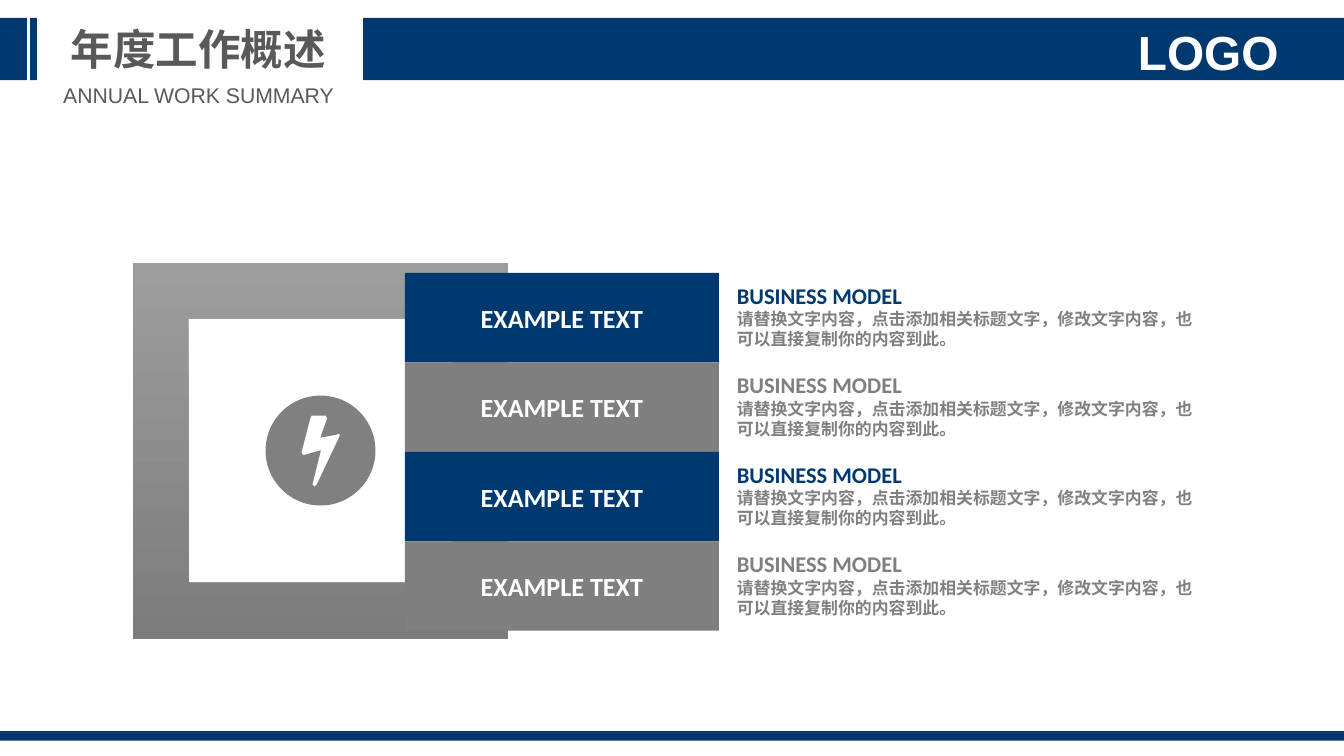
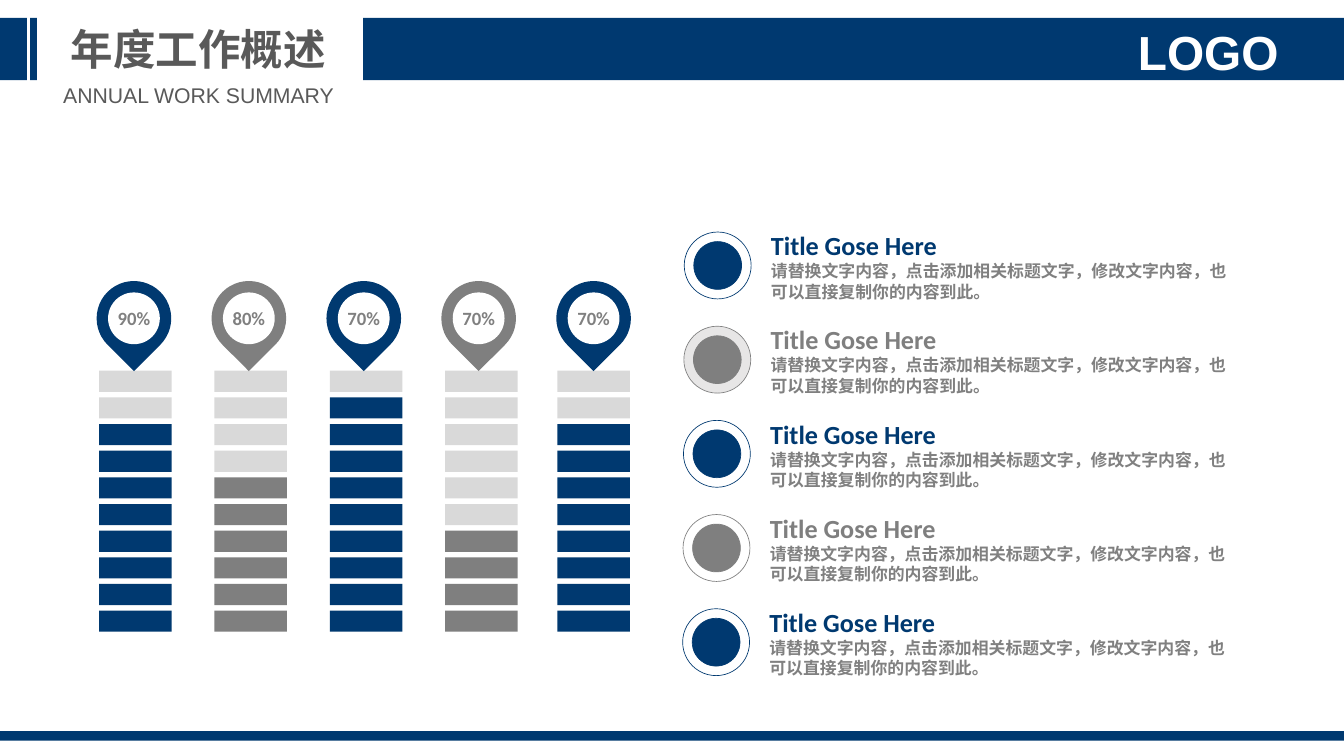
from pptx import Presentation
from pptx import util as u
from pptx.dml.color import RGBColor
from pptx.enum import shapes, text

Pt = u.Pt
KIND = shapes.MSO_SHAPE
ALIGN = text.PP_ALIGN
ANCHOR = text.MSO_ANCHOR
NAVY, GREY, MID, DARK = "003970", "7F7F7F", "808080", "595959"
PALE, CLOUD, WHITE = "D9D9D9", "E7E6E6", "FFFFFF"
WIDE, HIGH = 1012.32, 569.52
BODY = "请替换文字内容，点击添加相关标题文字，修改文字内容，也可以直接复制你的内容到此。"
BOLT = [(255.6, 329), (238.3, 365.5), (236.9, 366.5), (235.4, 365),
        (241.9, 339.1), (229, 342.7), (227.5, 342), (227.2, 340.6),
        (234, 314.6), (234.7, 313.2), (245.5, 313.2), (246.3, 315.4),
        (241.2, 329.8), (253.4, 327.6), (254.9, 326.9), (256, 327.6)]


def tint(fill, code):
    fill.solid()
    fill.fore_color.rgb = RGBColor.from_string(code)


def paint(shape, code, line=None):
    shape.shadow.inherit = False
    tint(shape.fill, code)
    if line:
        tint(shape.line.fill, line)
        shape.line.width = Pt(0.5)
    else:
        shape.line.fill.background()
    return shape


def draw(slide, kind, x, y, w, h, code, line=None):
    shape = slide.shapes.add_shape(kind, Pt(x), Pt(y), Pt(w), Pt(h))
    return paint(shape, code, line)


def write(shape, words, size=12.7, code=MID, font="Calibri", bold=True,
          align=ALIGN.LEFT, anchor=ANCHOR.TOP, wrap=True, inset=None, more=False):
    frame = shape.text_frame
    frame.auto_size = text.MSO_AUTO_SIZE.NONE
    frame.word_wrap = wrap
    frame.vertical_anchor = anchor
    if inset is not None:
        frame.margin_left = frame.margin_right = Pt(inset)
        frame.margin_top = frame.margin_bottom = Pt(inset)
    para = frame.add_paragraph() if more else frame.paragraphs[0]
    para.alignment = align
    run = para.add_run()
    run.text = words
    run.font.name = font
    run.font.size = Pt(size)
    run.font.bold = bold
    tint(run.font.fill, code)


def centre(shape, words, **form):
    write(shape, words, align=ALIGN.CENTER, anchor=ANCHOR.MIDDLE, **form)


def box(slide, x, y, w, h):
    return slide.shapes.add_textbox(Pt(x), Pt(y), Pt(w), Pt(h))


def note(slide, x, y, head, size, code):
    shape = box(slide, x, y, 365.8, 60)
    write(shape, head, size=size, code=code)
    write(shape, BODY, more=True)


def start(deck):
    slide = deck.slides.add_slide(deck.slide_layouts[5])
    for x, y, w, h in [(273.6, 13.5, WIDE - 273.6, 47), (0, 13.5, 20.2, 47),
                       (22.8, 13.5, 5, 47), (0, 550.8, WIDE, 7.2)]:
        draw(slide, KIND.RECTANGLE, x, y, w, h, NAVY)
    title = slide.shapes.title
    title.left, title.top, title.width, title.height = map(Pt, (45.4, 13.7, 208, 46))
    centre(title, "年度工作概述", size=32, code=DARK, font="Arial", wrap=False)
    centre(box(slide, 835.2, 17, 149.8, 44), "LOGO", size=36, code=WHITE,
           font="Arial", inset=0)
    centre(box(slide, 39.6, 58.4, 220, 26.6), "ANNUAL WORK SUMMARY", size=16,
           code=DARK, font="Arial", bold=False, wrap=False)
    return slide


def icon(slide):
    frame = draw(slide, KIND.FRAME, 100, 198.2, 282.8, 282.8, GREY)
    frame.adjustments[0] = 0.148
    frame.fill.gradient()
    frame.fill.gradient_angle = 270
    for stop, code in zip(frame.fill.gradient_stops, ("9D9D9D", "7C7C7C")):
        stop.color.rgb = RGBColor.from_string(code)
    draw(slide, KIND.OVAL, 200, 298, 82.8, 82.8, MID)
    dots = [(Pt(x), Pt(y)) for x, y in BOLT]
    path = slide.shapes.build_freeform(*dots[0])
    path.add_line_segments(dots[1:], close=True)
    paint(path.convert_to_shape(), WHITE)


def model(deck):
    slide = start(deck)
    icon(slide)
    step = 67.4
    for row in range(4):
        code = (NAVY, GREY)[row % 2]
        drop = row * step
        bar = draw(slide, KIND.RECTANGLE, 305, 205.6 + drop, 236.5, step, code)
        centre(bar, "EXAMPLE TEXT", size=19.7, code=WHITE)
        note(slide, 547.9, 208.8 + drop, "BUSINESS MODEL", 16.9, code)


def stack(slide, x, full, code):
    for row in range(10):
        draw(slide, KIND.RECTANGLE, x, 460 - row * 20.08, 54.7, 15.9,
             code if row < full else PALE)


def pin(slide, x, label, code):
    drop = draw(slide, KIND.TEAR, x, 211.7, 56.2, 56.2, code)
    drop.rotation = 135
    disc = draw(slide, KIND.OVAL, x + 8.6, 220.3, 39, 39, WHITE)
    centre(disc, label, size=14.1, inset=0)


def rates(deck):
    slide = start(deck)
    bars = [(74.7, 8, "90%"), (161.5, 6, "80%"), (248.4, 9, "70%"),
            (335.3, 4, "70%"), (419.8, 8, "70%")]
    for col, (x, full, label) in enumerate(bars):
        code = (NAVY, GREY)[col % 2]
        stack(slide, x, full, code)
        pin(slide, 72.8 + col * 86.55, label, code)
    for row in range(5):
        code = (NAVY, GREY)[row % 2]
        x, y = 515.4 - row * 0.3, 174.8 + row * 70.95
        draw(slide, KIND.OVAL, x, y, 50.4, 50.4, CLOUD if row == 1 else WHITE, code)
        draw(slide, KIND.OVAL, x + 7.2, y + 7.2, 36, 36, code, code)
        note(slide, x + 58.2, y - 5.4, "Title Gose Here", 19.7, code)


def main():
    deck = Presentation()
    deck.slide_width, deck.slide_height = Pt(WIDE), Pt(HIGH)
    model(deck)
    rates(deck)
    deck.save("out.pptx")


if __name__ == "__main__":
    main()
